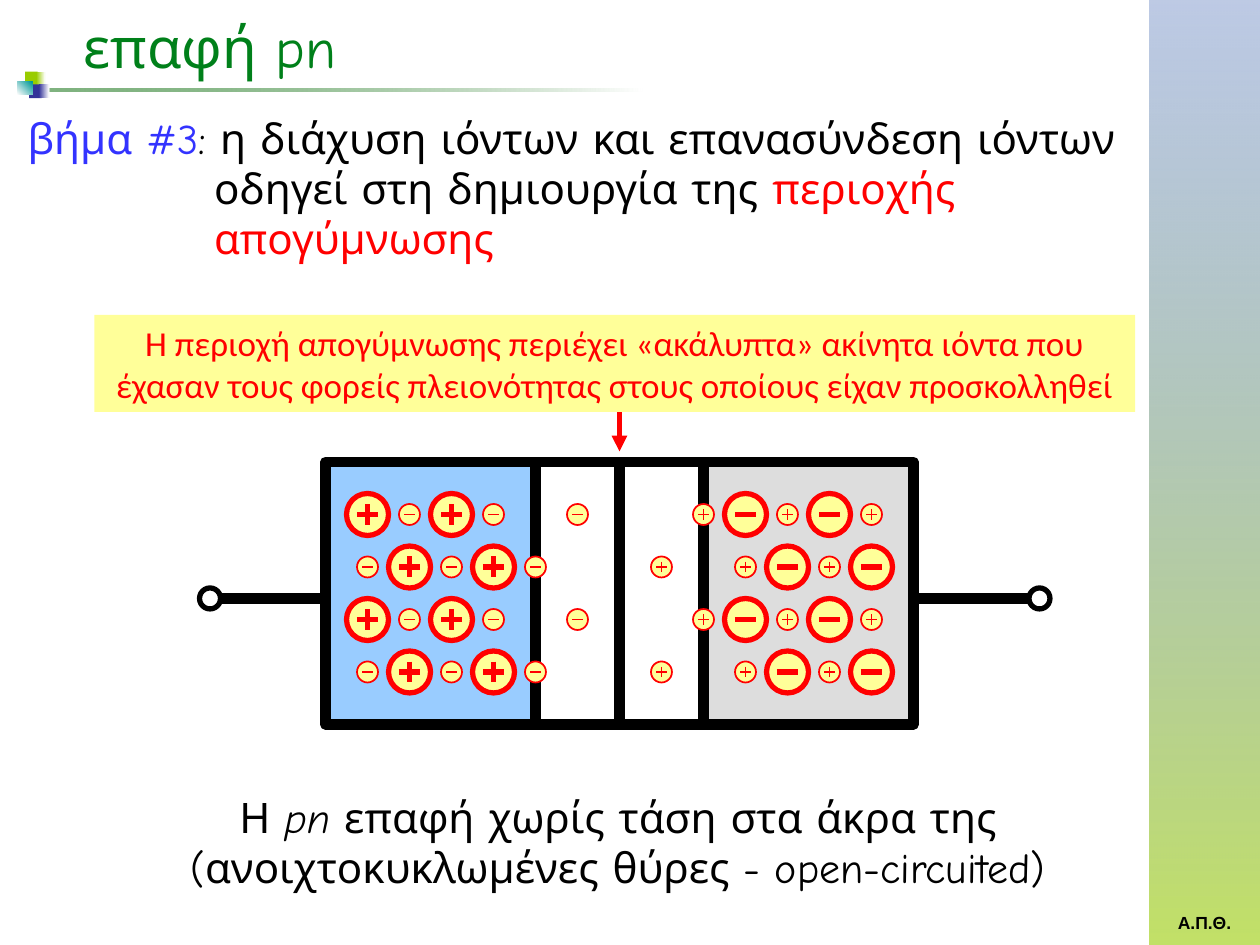
from lxml.etree import SubElement
from pptx import Presentation
from pptx.dml.color import RGBColor as RGB
from pptx.enum.shapes import MSO_CONNECTOR as CONNECTOR, MSO_SHAPE as SHAPE
from pptx.enum.text import MSO_ANCHOR as ANCHOR, MSO_AUTO_SIZE as AUTOSIZE, PP_ALIGN as ALIGN
from pptx.oxml.ns import qn
from pptx.util import Pt

COLORS = {
    "black": "000000", "white": "FFFFFF", "red": "FF0000", "yellow": "FFFF99",
    "sky": "99CCFF", "gray": "DDDDDD", "blue": "3333FF", "title": "00801A",
    "forest": "006600", "navy": "003399", "lime": "99CC00",
    "indigo": "333399", "teal": "009999",
}
FONTS = {
    "title": {"name": "Comic Neue", "size": Pt(32)},
    "body": {"name": "Comic Neue", "size": Pt(24)},
    "callout": {"name": "Calibri", "size": Pt(20)},
    "footer": {"name": "Arial", "size": Pt(10), "bold": True},
}


def color(name):
    return RGB.from_string(COLORS[name])


class Builder:
    def __init__(self, slide):
        self.slide = slide
        self.shapes = slide.shapes

    def group(self):
        return self.shapes.add_group_shape().shapes

    def shape(self, kind, bounds, fill=None, line=None, width=1, shapes=None):
        target = self.shapes if shapes is None else shapes
        shape = target.add_shape(kind, *map(Pt, bounds))
        shape.shadow.inherit = False
        if fill:
            shape.fill.solid()
            shape.fill.fore_color.rgb = color(fill)
        if line:
            shape.line.color.rgb = color(line)
            shape.line.width = Pt(width)
        else:
            shape.line.fill.background()
        return shape

    def gradient(self, bounds, stops, angle=0, shapes=None):
        shape = self.shape(SHAPE.RECTANGLE, bounds, shapes=shapes)
        shape.fill.gradient()
        shape.fill.gradient_angle = (360 - angle) % 360
        for stop, (name, opacity) in zip(shape.fill.gradient_stops, stops):
            stop.color.rgb = color(name)
        for node, (name, opacity) in zip(shape.element.iter(qn("a:srgbClr")), stops):
            if opacity < 100:
                SubElement(node, qn("a:alpha"), val=str(opacity * 1000))

    def line(self, start, end, name, width, arrow=False, shapes=None):
        target = self.shapes if shapes is None else shapes
        line = target.add_connector(CONNECTOR.STRAIGHT, *map(Pt, (*start, *end)))
        line.line.color.rgb = color(name)
        line.line.width = Pt(width)
        if arrow:
            SubElement(line.get_or_add_ln(), qn("a:tailEnd"), type="triangle")
        SubElement(line.element.spPr, qn("a:effectLst"))

    def ion(self, x, y, big, positive):
        radius, width = (12, 3) if big else (6, 1)
        arm = radius / 2
        group = self.group()
        self.shape(SHAPE.OVAL, (x - radius, y - radius, 2 * radius, 2 * radius),
                   "yellow", "red", width, group)
        self.line((x - arm, y), (x + arm, y), "red", width, shapes=group)
        if positive:
            self.line((x, y - arm), (x, y + arm), "red", width, shapes=group)

    def fill_text(self, shape, style, spans, align=ALIGN.LEFT):
        frame = shape.text_frame
        layout = {"word_wrap": True, "auto_size": AUTOSIZE.NONE,
                  "vertical_anchor": ANCHOR.TOP}
        for name, value in layout.items():
            setattr(frame, name, value)
        para = frame.paragraphs[0]
        para.alignment = align
        para.space_before = Pt(0)
        for text, name, *italic in spans:
            span = para.add_run()
            span.text = text
            for key, value in FONTS[style].items():
                setattr(span.font, key, value)
            span.font.color.rgb = color(name)
            if italic:
                span.font.italic = True
        return para

    def text(self, bounds, style, spans, align=ALIGN.LEFT):
        box = self.shapes.add_textbox(*map(Pt, bounds))
        self.fill_text(box, style, spans, align)

    def placeholder(self, index, bounds, style, spans):
        holder = self.slide.placeholders[index]
        for name, value in zip(("left", "top", "width", "height"), bounds):
            setattr(holder, name, Pt(value))
        return self.fill_text(holder, style, spans)


def add_decoration(page):
    page.gradient((22.3, 50.4, 345, 2.2), [("forest", 50), ("white", 100)])
    page.gradient((657, 0, 63, 540), [("navy", 26), ("lime", 60)], 90)
    page.text((666, 517.7, 50.4, 19.4), "footer", [("Α.Π.Θ.", "black")])
    corner = page.group()
    for name, left, top, split, width in (
            ("lime", 14.4, 41, 20.9, 5), ("indigo", 16.6, 48.2, 22.3, 5.8)):
        page.shape(SHAPE.RECTANGLE, (left, top, 7.2, 7.9), name, shapes=corner)
        page.gradient((split, top, width, 7.9), [(name, 100), ("white", 100)], shapes=corner)
    page.gradient((10, 46.8, 8.6, 7.2), [("white", 100), ("teal", 100)], 315, corner)


def add_headings(page):
    page.placeholder(0, (40.3, 3.6, 603.4, 46), "title", [("επαφή pn", "title")])
    para = page.placeholder(1, (8.6, 60.5, 693.4, 102.2), "body", [
        ("βήμα #3", "blue"),
        (": η διάχυση ιόντων και επανασύνδεση ιόντων οδηγεί στη δημιουργία της ", "black"),
        ("περιοχής απογύμνωσης", "red")])
    properties = para._p.get_or_add_pPr()
    properties.set("marL", str(Pt(106.5)))
    properties.set("indent", str(-Pt(106.5)))
    SubElement(properties, qn("a:buNone"))


def add_junction(page):
    top, middle, step = 264, 354, 24
    rows = [294 + 30 * row for row in range(4)]
    page.line((120, 342), (594, 342), "black", 6)
    for x in (120, 594):
        page.shape(SHAPE.OVAL, (x - 6, 336, 12, 12), "white", "black", 3)
    for left, fill in ((middle - 168, "sky"), (middle, "gray")):
        page.shape(SHAPE.RECTANGLE, (left, top, 168, 150), fill, "black", 6)
    for left, donor in ((210, True), (426, False)):
        for row, y in enumerate(rows):
            for column in range(4):
                big = (row + column) % 2 == 0
                page.ion(left + step * column, y, big, big == donor)
    for left in (middle, middle - 48):
        page.shape(SHAPE.RECTANGLE, (left, top, 48, 150), "white", "black", 6)
    for left, positive in ((306, False), (378, True)):
        for row, y in enumerate(rows):
            page.ion(left + step * (1 - row % 2), y, False, positive)


def add_notes(page):
    page.line((354, 204), (354, 258), "red", 3, arrow=True)
    callout = page.shape(SHAPE.RECTANGLE, (54, 180, 594.7, 55.4), "yellow")
    page.fill_text(callout, "callout", [
        ("Η περιοχή απογύμνωσης περιέχει «ακάλυπτα» ακίνητα ιόντα που έχασαν "
         "τους φορείς πλειονότητας στους οποίους είχαν προσκολληθεί", "red")], ALIGN.CENTER)
    page.text((40.3, 448.6, 625.7, 65.5), "body", [
        ("Η ", "black"), ("pn ", "black", True),
        ("επαφή χωρίς τάση στα άκρα της (ανοιχτοκυκλωμένες θύρες - open-circuited)",
         "black")], ALIGN.CENTER)


def main():
    deck = Presentation()
    deck.slide_width, deck.slide_height = Pt(720), Pt(540)
    page = Builder(deck.slides.add_slide(deck.slide_layouts[1]))
    for add_part in (add_decoration, add_headings, add_junction, add_notes):
        add_part(page)
    deck.save("out.pptx")


if __name__ == "__main__":
    main()
